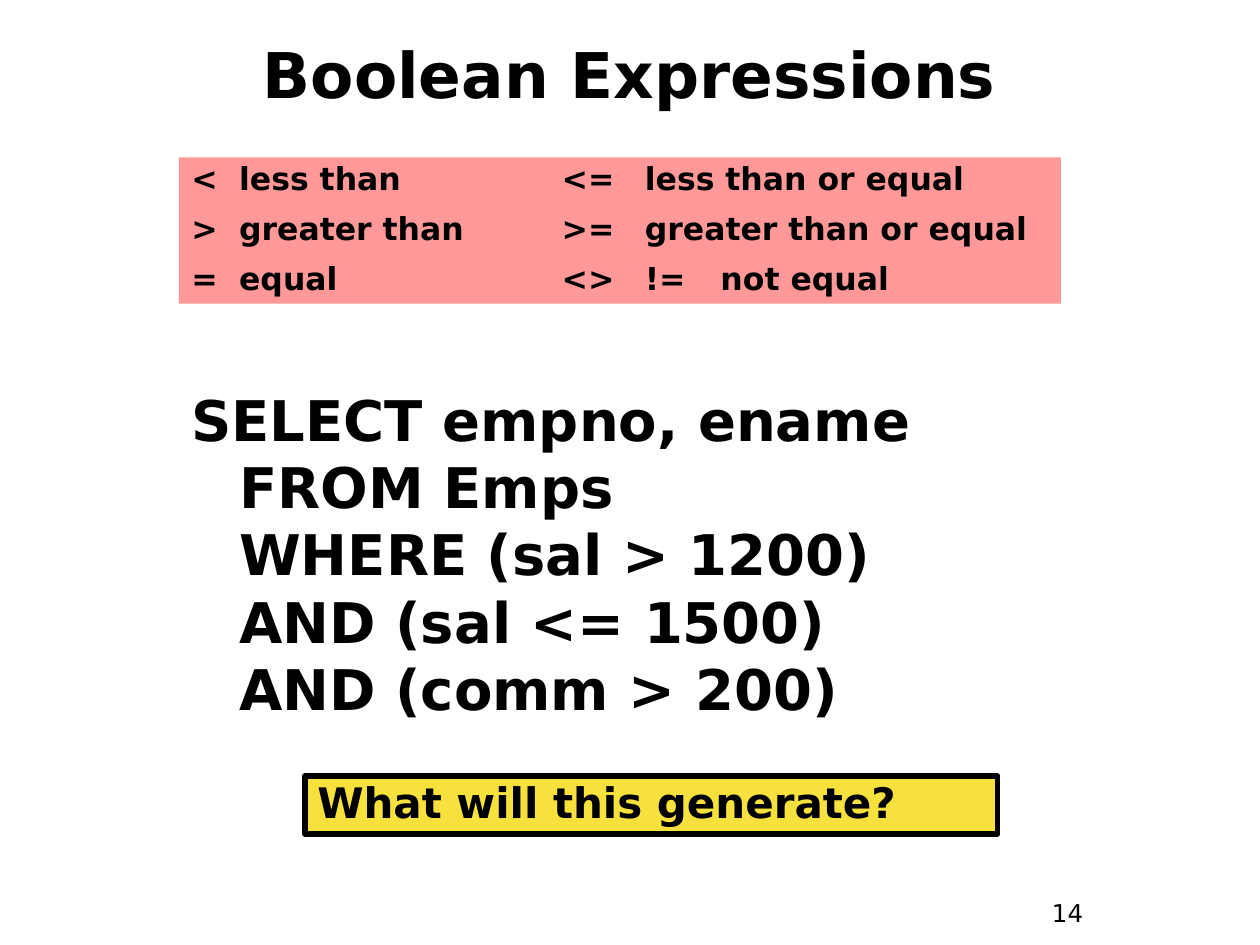
import dataclasses

import pptx
import pptx.dml.color
import pptx.enum.shapes
import pptx.enum.text
import pptx.oxml
import pptx.oxml.ns
import pptx.util
from pptx.util import Inches


@dataclasses.dataclass(frozen=True)
class Theme:
    font: str = "DejaVu Sans"
    ink: str = "000000"
    pink: str = "FF9999"
    yellow: str = "F7E13D"
    title: int = 36
    code: int = 32
    question: int = 24
    operators: int = 18
    number: int = 14


theme = Theme()


def write(box, text, size, bold=True, align="LEFT", anchor="TOP",
          before=0, spacing=None, hanging=0, tabs=(), grow=False):
    """Write one paragraph per line; a vertical tab breaks a line inside one."""
    frame = box.text_frame
    frame.word_wrap = True
    frame.vertical_anchor = getattr(pptx.enum.text.MSO_ANCHOR, anchor)
    if grow:
        frame.auto_size = pptx.enum.text.MSO_AUTO_SIZE.SHAPE_TO_FIT_TEXT
    frame.text = text
    for para in frame.paragraphs:
        para.alignment = getattr(pptx.enum.text.PP_ALIGN, align)
        para.space_before = pptx.util.Pt(before)
        if spacing:
            para.line_spacing = spacing
        properties = para._p.get_or_add_pPr()
        if hanging:
            properties.set("marL", str(Inches(hanging)))
            properties.set("indent", str(-Inches(hanging)))
        if tabs:
            stops = pptx.oxml.parse_xml(
                f"<a:tabLst {pptx.oxml.ns.nsdecls('a')}>"
                + "".join(f'<a:tab pos="{Inches(stop)}" algn="l"/>' for stop in tabs)
                + "</a:tabLst>")
            properties.append(stops)
        for span in para.runs:
            span.font.name = theme.font
            span.font.size = pptx.util.Pt(size)
            span.font.bold = bold
            span.font.color.rgb = pptx.dml.color.RGBColor.from_string(theme.ink)


def add_panel(page, left, top, width, height, fill):
    """Add a plain filled rectangle without outline or shadow."""
    panel = page.shapes.add_shape(
        pptx.enum.shapes.MSO_SHAPE.RECTANGLE,
        Inches(left), Inches(top), Inches(width), Inches(height))
    panel.shadow.inherit = False
    panel.fill.solid()
    panel.fill.fore_color.rgb = pptx.dml.color.RGBColor.from_string(fill)
    panel.line.fill.background()
    return panel


deck = pptx.Presentation()
deck.slide_width = Inches(10)
deck.slide_height = Inches(7.5)
page = deck.slides.add_slide(deck.slide_layouts[6])

# Page number
number = page.shapes.add_textbox(Inches(8.25), Inches(7.08), Inches(0.75), Inches(0.37))
write(number, "14", theme.number, bold=False, before=8.8, grow=True)

# Title
title = page.shapes.add_textbox(Inches(0.33), Inches(0.17), Inches(9.33), Inches(0.83))
write(title, "Boolean Expressions", theme.title, align="CENTER", anchor="MIDDLE")

# Query
query = page.shapes.add_textbox(Inches(1.42), Inches(3.01), Inches(6.5), Inches(3))
lines = ["SELECT empno, ename", "FROM Emps", "WHERE (sal > 1200)",
         "AND (sal <= 1500)", "AND (comm > 200)"]
write(query, "\v".join(lines), theme.code, before=8, hanging=0.38)

# Question
question = add_panel(page, 2.42, 6.16, 5.5, 0.46, theme.yellow)
question.line.color.rgb = pptx.dml.color.RGBColor.from_string(theme.ink)
question.line.width = pptx.util.Pt(3)
write(question, "What will this generate?", theme.question,
      before=15, spacing=0.9, grow=True)

# Comparison operators, set in columns by tab stops
operators = add_panel(page, 1.42, 1.25, 7, 1.16, theme.pink)
rows = [("<", "less than", "<=", "less than or equal"),
        (">", "greater than", ">=", "greater than or equal"),
        ("=", "equal", "<>", "!=", "not equal")]
write(operators, "\n".join("\t".join(row) for row in rows), theme.operators,
      before=9, spacing=0.9, tabs=(0.38, 2.94, 3.6, 4.2), grow=True)

deck.save("out.pptx")
